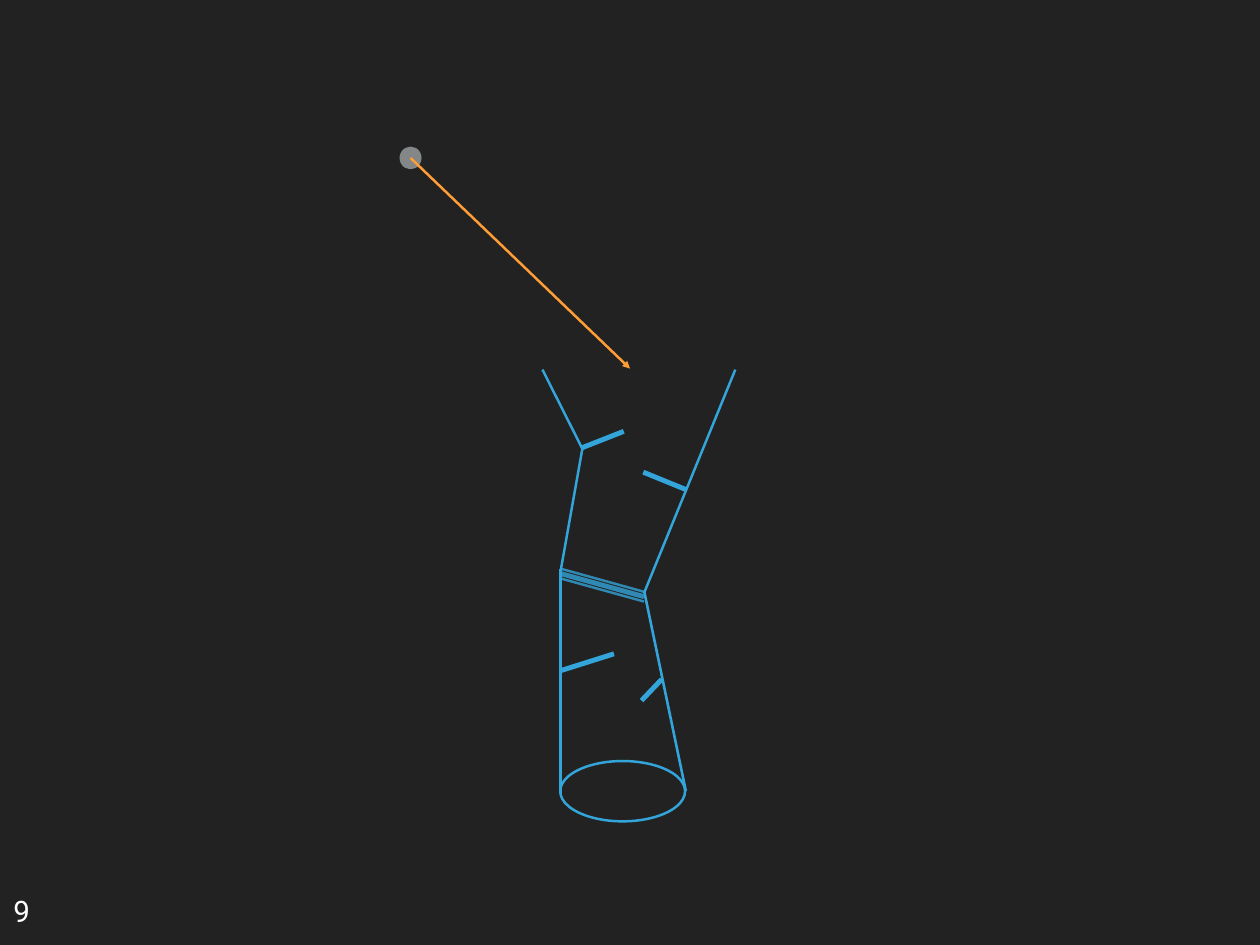
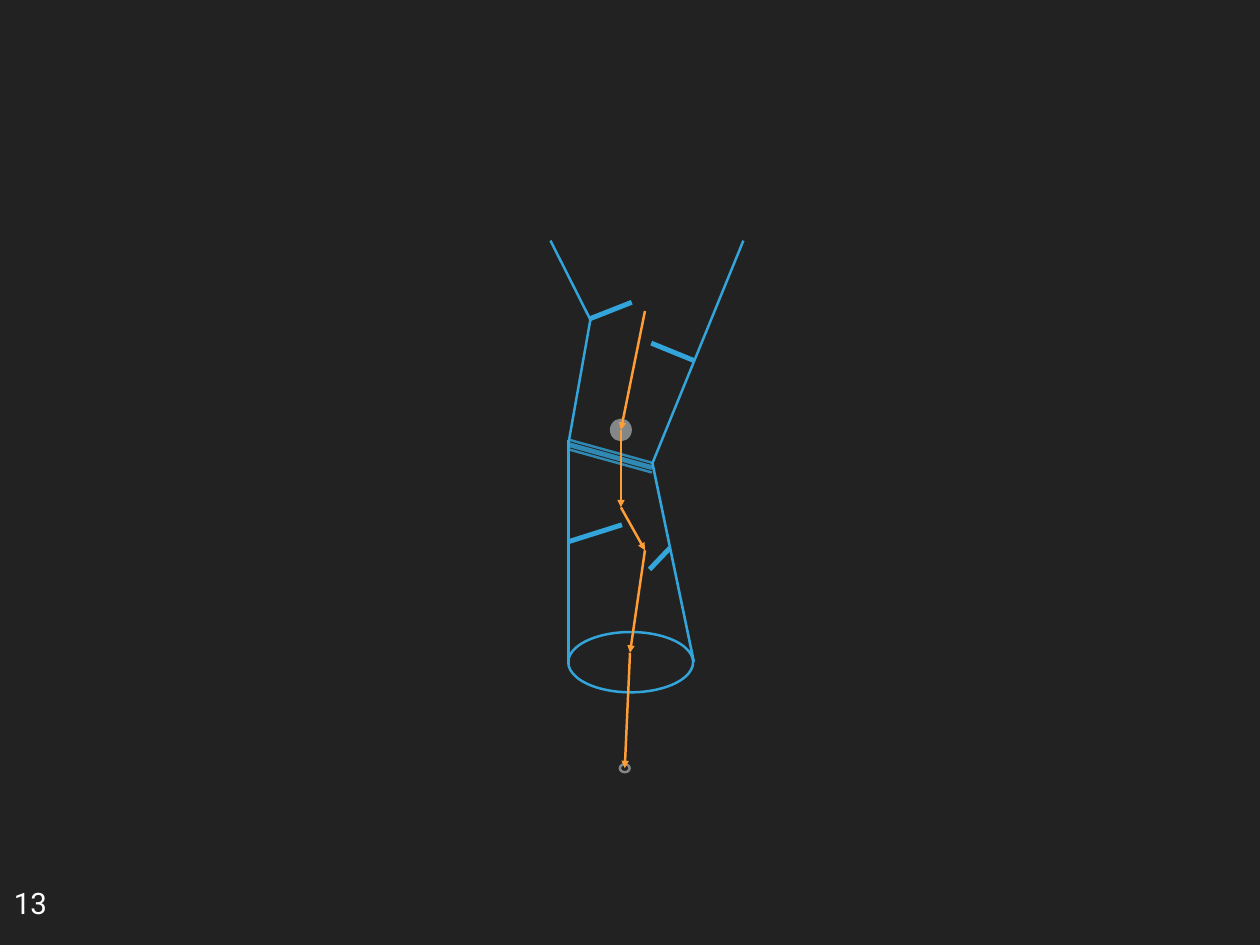
from itertools import pairwise
from pptx import Presentation
from pptx.dml.color import RGBColor
from pptx.enum import shapes, text
from pptx.oxml import ns
from pptx.util import Cm, Pt
from lxml import etree

DARK = RGBColor(0x22, 0x22, 0x22)
BLUE = RGBColor(0x34, 0xA5, 0xDA)
GREY = RGBColor(0x83, 0x87, 0x87)
GOLD = RGBColor(0xFF, 0x9D, 0x36)
WHITE = RGBColor(0xFF, 0xFF, 0xFF)

# Funnel in cm: x1, y1, x2, y2, line width in points
WALLS = [
    (16.06, 22.73, 16.06, 16.31, 2.1),
    (19.66, 22.68, 18.47, 16.97, 2.1),
    (18.47, 16.99, 21.08, 10.6, 2),
    (16.08, 16.33, 16.71, 12.78, 2),
    (16.71, 12.9, 15.55, 10.6, 2),
]
PEGS = [
    (16.08, 19.23, 17.6, 18.75, 4),
    (18.44, 13.54, 19.69, 14.05, 4),
    (16.66, 12.85, 17.88, 12.37, 4),
]
LOW_PEG = (18.39, 20.09, 18.97, 19.48, 4)
BAND = [(16.08, 16.31 + 0.14 * i, 18.46, 16.97 + 0.14 * i, w)
        for i, w in enumerate((2, 4, 2))]

# Per slide: number, its top and width, funnel shift, lift of the low peg,
# ball, ring, arrow path
STEPS = [
    ("9", 25.65, 0.91, (0, 0), 0, (11.77, 4.53), None,
     [(11.77, 4.53), (18.06, 10.57)]),
    ("13", 25.42, 1.4, (0.23, -3.7), 0.06, (17.8, 12.33), (17.91, 22.03),
     [(18.49, 8.92), (17.8, 12.33), (17.8, 14.55), (18.49, 15.78),
      (18.06, 18.72), (17.91, 22.03)]),
]


def add_line(slide, x1, y1, x2, y2, width, color, alpha=None, arrow=False):
    line = slide.shapes.add_connector(
        shapes.MSO_CONNECTOR.STRAIGHT, Cm(x1), Cm(y1), Cm(x2), Cm(y2))
    line.line.color.rgb = color
    line.line.width = Pt(width)
    props = line._element.spPr
    edge = props.find(ns.qn("a:ln"))
    if alpha:
        tint = edge.find(".//" + ns.qn("a:srgbClr"))
        etree.SubElement(tint, ns.qn("a:alpha"), val=str(alpha * 1000))
    if arrow:
        etree.SubElement(edge, ns.qn("a:tailEnd"), type="triangle")
    etree.SubElement(props, ns.qn("a:effectLst"))


def add_oval(slide, x, y, width, height, color, solid=False):
    oval = slide.shapes.add_shape(
        shapes.MSO_SHAPE.OVAL, Cm(x - width / 2), Cm(y - height / 2),
        Cm(width), Cm(height))
    oval.shadow.inherit = False
    oval.line.color.rgb = color
    oval.line.width = Pt(2)
    if solid:
        oval.fill.solid()
        oval.fill.fore_color.rgb = color
    else:
        oval.fill.background()


deck = Presentation()
deck.slide_width, deck.slide_height = Cm(36.12), Cm(27.1)
blank = deck.slide_layouts[6]

# Shared background
back = deck.slide_master.background.fill
back.solid()
back.fore_color.rgb = DARK

for label, top, wide, (dx, dy), lift, ball, ring, route in STEPS:
    slide = deck.slides.add_slide(blank)

    # Funnel
    add_oval(slide, 17.85 + dx, 22.69 + dy, 3.58, 1.73, BLUE)
    for group, alpha, rise in ((WALLS, None, 0), (BAND, 79, 0),
                               (PEGS, None, 0), ([LOW_PEG], None, lift)):
        for x1, y1, x2, y2, width in group:
            add_line(slide, x1 + dx, y1 + dy - rise, x2 + dx, y2 + dy - rise,
                     width, BLUE, alpha)

    # Ball, landing ring and arrows
    add_oval(slide, *ball, 0.56, 0.58, GREY, solid=True)
    if ring:
        add_oval(slide, *ring, 0.28, 0.23, GREY)
    for start, end in pairwise(route):
        add_line(slide, *start, *end, 2, GOLD, arrow=True)

    # Slide number
    box = slide.shapes.add_textbox(Cm(0.1), Cm(top), Cm(wide), Cm(1.27))
    frame = box.text_frame
    frame.margin_left = 0
    frame.margin_right = frame.margin_top = frame.margin_bottom = Cm(0.15)
    frame.word_wrap = False
    frame.auto_size = text.MSO_AUTO_SIZE.NONE
    frame.text = label
    para = frame.paragraphs[0]
    para.alignment = text.PP_ALIGN.RIGHT
    para.line_spacing = 0.8
    font = para.runs[0].font
    font.name, font.size = "Roboto", Pt(24)
    font.color.rgb = WHITE

deck.save("out.pptx")
